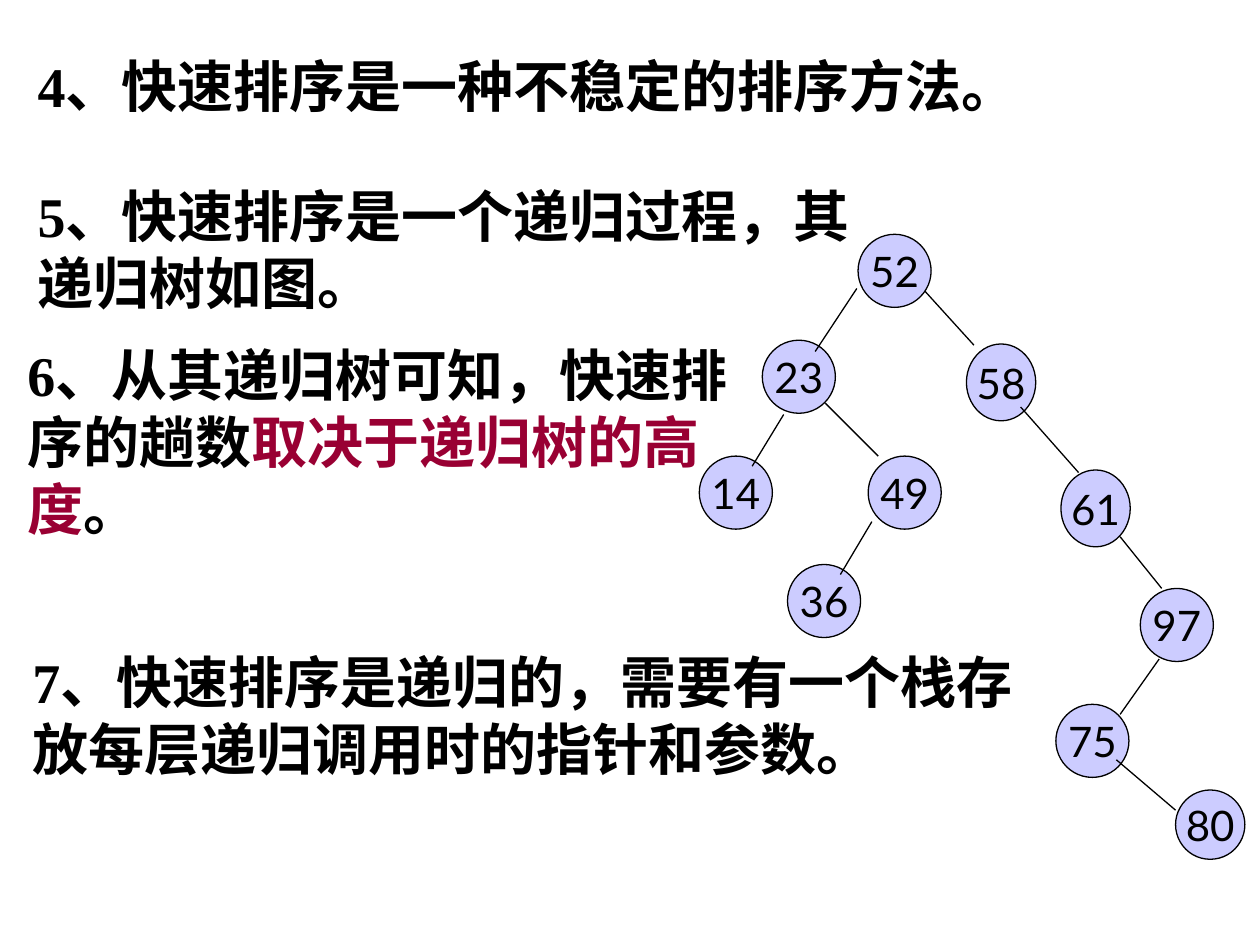
from lxml import etree
from pptx import Presentation
from pptx.dml.color import RGBColor
from pptx.enum.shapes import MSO_CONNECTOR, MSO_SHAPE
from pptx.enum.text import MSO_ANCHOR, MSO_AUTO_SIZE, PP_ALIGN
from pptx.oxml.ns import qn
from pptx.util import Inches, Pt

OVAL, LINE = MSO_SHAPE.OVAL, MSO_CONNECTOR.STRAIGHT
MIDDLE, CENTER = MSO_ANCHOR.MIDDLE, PP_ALIGN.CENTER
GROW = MSO_AUTO_SIZE.SHAPE_TO_FIT_TEXT
BLACK, RED, LILAC = "000000", "990033", "CCCCFF"

# left, top, width, height, runs; widths keep the lines clear of the tree
NOTES = [
    (0.2, 0.36, 9.37, 0.63, [("4、快速排序是一种不稳定的排序方法。", BLACK)]),
    (0.2, 1.39, 6.8, 1.17,
     [("5、快速排序是一个递归过程，其递归树如图。", BLACK)]),
    (0.12, 2.65, 5.83, 1.7,
     [("6、从其递归树可知，快速排序的趟数", BLACK),
      ("取决于递归树的高度", RED), ("。", BLACK)]),
    (0.16, 5.09, 8.24, 1.17,
     [("7、快速排序是递归的，需要有一个栈存放每层递归调用时的指针和参数。", BLACK)]),
]

ROUND, TALL, SMALL = (0.58, 0.58), (0.55, 0.61), (0.55, 0.55)
# key, left, top, size
NODES = [
    ("52", 6.81, 1.86, ROUND),
    ("23", 6.05, 2.7, ROUND),
    ("58", 7.67, 2.73, TALL),
    ("14", 5.55, 3.62, ROUND),
    ("49", 6.89, 3.62, ROUND),
    ("61", 8.42, 3.73, TALL),
    ("36", 6.25, 4.48, ROUND),
    ("97", 9.05, 4.67, ROUND),
    ("75", 8.38, 5.59, ROUND),
    ("80", 9.33, 6.27, SMALL),
]

# start x, start y, end x, end y
EDGES = [
    (6.8, 2.29, 6.47, 2.79),   # 52 - 23
    (7.34, 2.31, 7.73, 2.74),  # 52 - 58
    (6.22, 3.29, 5.97, 3.7),   # 23 - 14
    (6.55, 3.2, 6.97, 3.62),   # 23 - 49
    (6.92, 4.14, 6.67, 4.56),  # 49 - 36
    (8.1, 3.23, 8.56, 3.75),   # 58 - 61
    (8.89, 4.26, 9.22, 4.67),  # 61 - 97
    (9.2, 5.23, 8.89, 5.67),   # 97 - 75
    (8.86, 6.03, 9.33, 6.43),  # 75 - 80
]

NOTE_FONT = {"name": "Times New Roman", "size": Pt(32), "bold": True}
NODE_FONT = {"name": "Lato", "size": Pt(24), "bold": False}
NOTE_FRAME = {"word_wrap": True, "auto_size": GROW}
NODE_FRAME = {"word_wrap": False, "vertical_anchor": MIDDLE}


def rgb(color):
    return RGBColor.from_string(color)


def apply(item, values):
    for name, value in values.items():
        setattr(item, name, value)


def write(para, text, color, font):
    run = para.add_run()
    run.text = text
    apply(run.font, font)
    run.font.color.rgb = rgb(color)


def ink(line):
    line.color.rgb = rgb(BLACK)
    line.width = Pt(0.75)


def add_note(slide, left, top, width, height, runs):
    box = slide.shapes.add_textbox(*map(Inches, (left, top, width, height)))
    apply(box.text_frame, NOTE_FRAME)
    for text, color in runs:
        write(box.text_frame.paragraphs[0], text, color, NOTE_FONT)


def add_node(tree, key, left, top, size):
    node = tree.shapes.add_shape(OVAL, *map(Inches, (left, top, *size)))
    node.shadow.inherit = False
    node.fill.solid()
    node.fill.fore_color.rgb = rgb(LILAC)
    ink(node.line)
    apply(node.text_frame, NODE_FRAME)
    para = node.text_frame.paragraphs[0]
    para.alignment = CENTER
    write(para, key, BLACK, NODE_FONT)


def add_edge(tree, *ends):
    edge = tree.shapes.add_connector(LINE, *map(Inches, ends))
    ink(edge.line)
    etree.SubElement(edge._element.spPr, qn("a:effectLst"))


def main():
    deck = Presentation()
    deck.slide_width, deck.slide_height = Inches(10), Inches(7.5)
    slide = deck.slides.add_slide(deck.slide_layouts[6])
    for note in NOTES:
        add_note(slide, *note)
    tree = slide.shapes.add_group_shape()
    for node in NODES:
        add_node(tree, *node)
    for edge in EDGES:
        add_edge(tree, *edge)
    deck.save("out.pptx")


if __name__ == "__main__":
    main()
